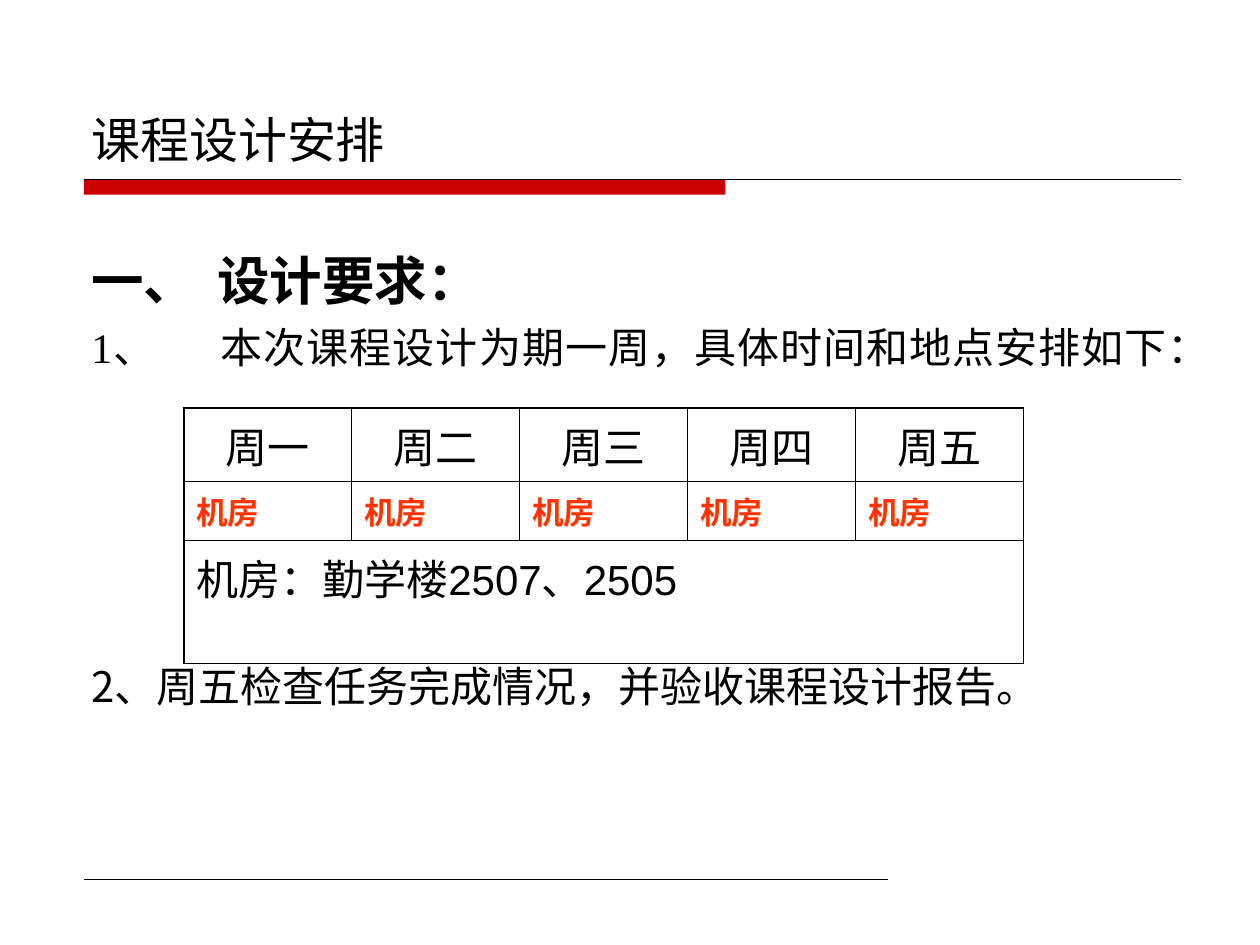
from dataclasses import dataclass
from typing import Optional

from lxml.etree import SubElement
from pptx import Presentation
from pptx.dml.color import RGBColor
from pptx.enum.shapes import MSO_CONNECTOR as Connector, MSO_SHAPE as Shape
from pptx.enum.text import MSO_ANCHOR as Anchor, MSO_AUTO_SIZE as AutoSize, PP_ALIGN as Align
from pptx.oxml.ns import qn
from pptx.util import Pt

BLACK, RED, ORANGE = "000000", "CC0000", "FF3300"
HAN_FONT = "Noto Sans CJK SC"
THIN, THICK = 0.45, 1.08


@dataclass
class BodyLine:
    text: str
    size: float
    space_before: float = 0
    bold: bool = False
    number: str = ""
    tab: Optional[float] = None


@dataclass
class RowStyle:
    height: float
    size: float
    color: str = BLACK
    bold: bool = False
    align: Align = Align.LEFT


def rgb(color: str) -> RGBColor:
    return RGBColor.from_string(color)


def format_paragraph(paragraph, size: float, color: str = BLACK, bold: bool = False,
                     latin: str = HAN_FONT, east_asian: str = HAN_FONT) -> None:
    font = paragraph.font
    font.size, font.bold, font.name = Pt(size), bold, latin
    font.color.rgb = rgb(color)
    SubElement(font._element, qn("a:ea"), typeface=east_asian)


def place(shape, left: float, top: float, width: float, height: float) -> None:
    shape.left, shape.top = Pt(left), Pt(top)
    shape.width, shape.height = Pt(width), Pt(height)
    shape.text_frame.auto_size = AutoSize.NONE


def add_rule(slide, left: float, right: float, top: float, width: float) -> None:
    rule = slide.shapes.add_connector(Connector.STRAIGHT, Pt(left), Pt(top), Pt(right), Pt(top))
    rule.line.color.rgb = rgb(BLACK)
    rule.line.width = Pt(width)
    SubElement(rule._element.spPr, qn("a:effectLst"))


def write_body_line(paragraph, line: BodyLine) -> None:
    properties = paragraph._p.get_or_add_pPr()
    properties.set("marL", "0")
    properties.set("indent", "0")
    SubElement(properties, qn("a:buNone"))
    if line.tab:
        tabs = SubElement(properties, qn("a:tabLst"))
        SubElement(tabs, qn("a:tab"), pos=str(Pt(line.tab)), algn="l")
    paragraph.alignment = Align.JUSTIFY
    paragraph.space_before = Pt(line.space_before)
    format_paragraph(paragraph, line.size, bold=line.bold)
    if line.number:
        number = paragraph.add_run()
        number.text = line.number
        number.font.name = "Times New Roman"
    paragraph.add_run().text = line.text


def set_borders(cell, widths: dict[str, float]) -> None:
    properties = cell._tc.get_or_add_tcPr()
    for side in "LRTB":
        border = SubElement(properties, qn(f"a:ln{side}"), w=str(Pt(widths[side])))
        fill = SubElement(border, qn("a:solidFill"))
        SubElement(fill, qn("a:srgbClr"), val=BLACK)


def write_cell(cell, text: str, style: RowStyle) -> None:
    paragraph = cell.text_frame.paragraphs[0]
    paragraph.alignment = style.align
    format_paragraph(paragraph, style.size, style.color, style.bold, latin="Arial")
    paragraph.add_run().text = text


def add_schedule(slide, rows: list[list[str]], styles: list[RowStyle]) -> None:
    columns = len(rows[0])
    table = slide.shapes.add_table(len(rows), columns, Pt(105), Pt(233.3), Pt(480),
                                   Pt(sum(style.height for style in styles))).table
    table.first_row = table.horz_banding = False
    for column in table.columns:
        column.width = Pt(480 / columns)
    for row_index, (texts, style) in enumerate(zip(rows, styles)):
        table.rows[row_index].height = Pt(style.height)
        for column_index in range(columns):
            cell = table.cell(row_index, column_index)
            set_borders(cell, {
                "L": THICK if column_index == 0 else THIN,
                "R": THICK if column_index == columns - 1 else THIN,
                "T": THICK if row_index == 0 else THIN,
                "B": THICK if row_index == len(rows) - 1 else THIN,
            })
            cell.fill.background()
        if len(texts) == 1:
            table.cell(row_index, 0).merge(table.cell(row_index, columns - 1))
        for column_index, text in enumerate(texts):
            write_cell(table.cell(row_index, column_index), text, style)


def main() -> None:
    presentation = Presentation()
    presentation.slide_width, presentation.slide_height = Pt(720), Pt(540)
    slide = presentation.slides.add_slide(presentation.slide_layouts[1])
    title, body = slide.placeholders

    # Red bar and thin rules
    bar = slide.shapes.add_shape(Shape.RECTANGLE, Pt(48), Pt(102.6), Pt(366.5), Pt(8.6))
    bar.shadow.inherit = False
    bar.fill.solid()
    bar.fill.fore_color.rgb = rgb(RED)
    bar.line.fill.background()
    add_rule(slide, 48, 675, 102.6, 0.75)
    add_rule(slide, 48, 507.5, 502.5, 0.25)

    # Title
    place(title, 45, 24, 630, 75.6)
    title.text_frame.vertical_anchor = Anchor.BOTTOM
    heading = title.text_frame.paragraphs[0]
    heading.alignment = Align.LEFT
    format_paragraph(heading, 28, latin="Noto Sans CJK JP", east_asian="Noto Sans CJK JP")
    heading.add_run().text = "课程设计安排"

    # Requirements, with room for the schedule before the last line
    place(body, 45, 138, 630, 336)
    lines = [
        BodyLine("一、\t设计要求：", 30, bold=True, tab=73),
        BodyLine("本次课程设计为期一周，具体时间和地点安排如下：", 24, 6, number="1、\t", tab=52),
        BodyLine("2、周五检查任务完成情况，并验收课程设计报告。", 24, 165),
    ]
    frame = body.text_frame
    for index, line in enumerate(lines):
        write_body_line(frame.add_paragraph() if index else frame.paragraphs[0], line)

    # Weekly schedule
    days = [f"周{day}" for day in "一二三四五"]
    add_schedule(
        slide,
        [days, ["机房"] * len(days), ["机房：勤学楼2507、2505"]],
        [RowStyle(36, 24, align=Align.CENTER), RowStyle(28.8, 18, ORANGE, True),
         RowStyle(70.5, 24)],
    )

    presentation.save("out.pptx")


if __name__ == "__main__":
    main()
